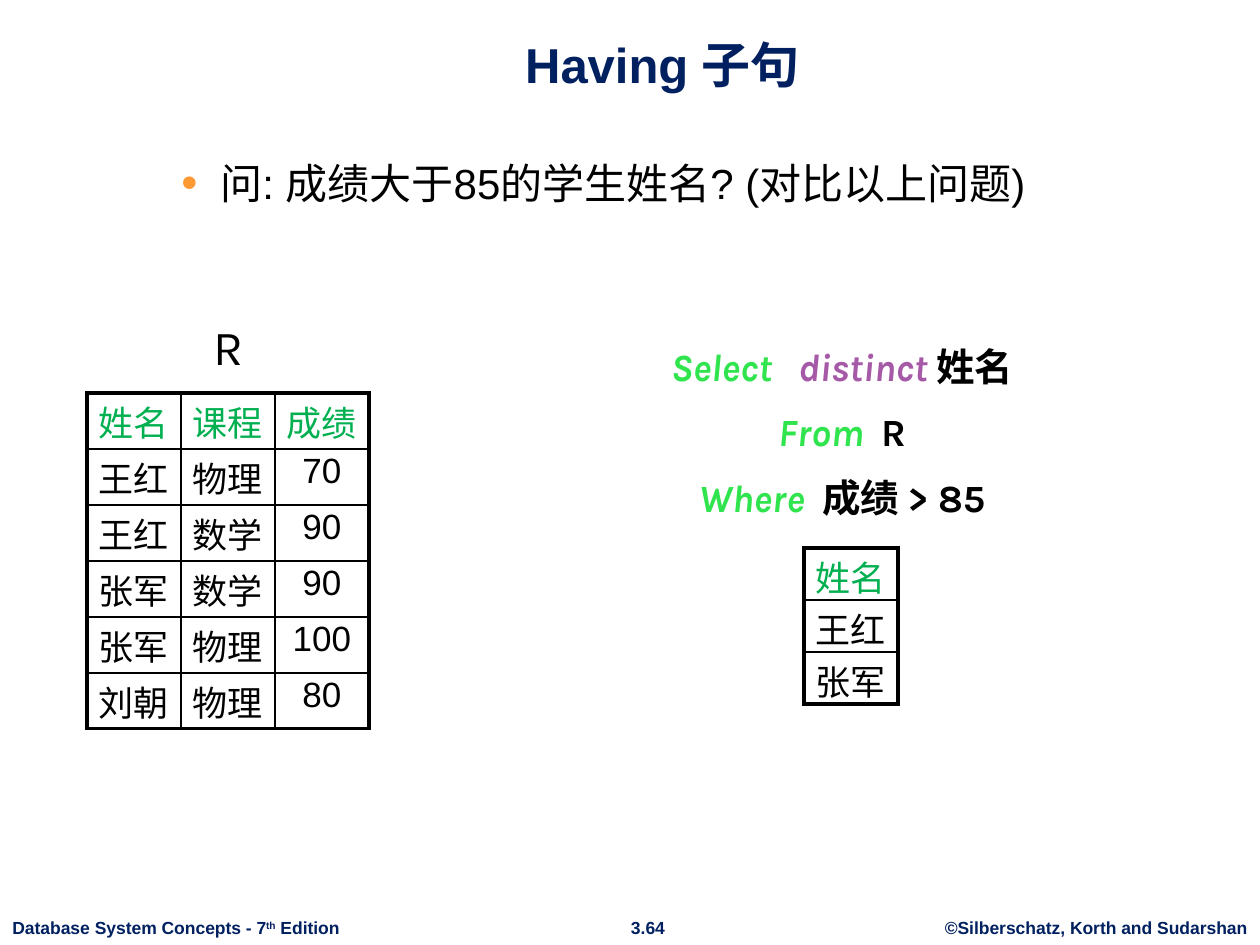
import pptx
import pptx.util
import pptx.dml.color
import pptx.enum.text
import pptx.oxml.ns
from dataclasses import dataclass
from lxml import etree


@dataclass(frozen=True)
class Theme:
    sans: str = "Arial"
    code: str = "Karla"
    navy: str = "002060"
    ink: str = "000000"
    paper: str = "FFFFFF"
    head: str = "00B050"
    key: str = "30E44E"
    word: str = "A559A7"
    dot: str = "FF9933"
    title: int = 28
    body: int = 24
    query: int = 22
    cell: int = 20
    foot: int = 10
    thick: float = 2.25
    thin: float = 1


LOOK = Theme()
Pt = pptx.util.Pt
ALIGN = pptx.enum.text.PP_ALIGN
ANCHOR = pptx.enum.text.MSO_ANCHOR
FIT = pptx.enum.text.MSO_AUTO_SIZE

TITLE = "Having 子句"
ASK = "问: 成绩大于85的学生姓名? (对比以上问题)"
NAME = "R"
QUERY = [
    [("Select", LOOK.key), ("   distinct ", LOOK.word), ("姓名", LOOK.ink)],
    [("From  ", LOOK.key), ("R", LOOK.ink)],
    [("Where  ", LOOK.key), ("成绩 > 85", LOOK.ink)],
]
MARKS = [
    ["姓名", "课程", "成绩"],
    ["王红", "物理", "70"],
    ["王红", "数学", "90"],
    ["张军", "数学", "90"],
    ["张军", "物理", "100"],
    ["刘朝", "物理", "80"],
]
FOUND = [["姓名"], ["王红"], ["张军"]]
FEET = [
    (0, 354, ALIGN.LEFT, [("Database System Concepts - 7", 0), ("th", 30), (" Edition", 0)]),
    (617, 62, ALIGN.CENTER, [("3.64", 0)]),
    (932, 328, ALIGN.CENTER, [("©Silberschatz, Korth and Sudarshan", 0)]),
]


def px(n):
    return pptx.util.Emu(round(n * 914400 / 126))


def paint(font, size, color, face=LOOK.sans, bold=False):
    font.name = face
    font.size = Pt(size)
    font.bold = bold
    font.color.rgb = pptx.dml.color.RGBColor.from_string(color)


def add_tag(up, tag, **attrs):
    return etree.SubElement(up, pptx.oxml.ns.qn(tag), attrs)


def add_box(slide, x, y, w, h, wrap=True):
    frame = slide.shapes.add_textbox(px(x), px(y), px(w), px(h)).text_frame
    frame.word_wrap = wrap
    return frame


def add_edge(cell, side, width):
    props = cell._tc.get_or_add_tcPr()
    line = add_tag(props, "a:" + side, w=str(Pt(width)))
    fill = add_tag(line, "a:solidFill")
    add_tag(fill, "a:srgbClr", val=LOOK.ink)


def add_grid(slide, rows, x, y, wide, high):
    last, end = len(rows) - 1, len(rows[0]) - 1
    frame = slide.shapes.add_table(
        last + 1, end + 1, px(x), px(y), px(wide * (end + 1)), px(high * (last + 1)))
    table = frame.table
    for col in table.columns:
        col.width = px(wide)
    for i, row in enumerate(rows):
        table.rows[i].height = px(high)
        for j, text in enumerate(row):
            cell = table.cell(i, j)
            cell.margin_left = cell.margin_right = px(5)
            cell.margin_top = cell.margin_bottom = px(3)
            outer = {"lnL": j == 0, "lnR": j == end, "lnT": i == 0, "lnB": i == last}
            for side, edge in outer.items():
                add_edge(cell, side, LOOK.thick if edge else LOOK.thin)
            if i == 0:
                cell.fill.solid()
                cell.fill.fore_color.rgb = pptx.dml.color.RGBColor.from_string(LOOK.paper)
            else:
                cell.fill.background()
            para = cell.text_frame.paragraphs[0]
            para.text = text
            para.alignment = ALIGN.CENTER
            paint(para.font, LOOK.cell, LOOK.ink if i else LOOK.head)


def add_title(slide):
    title = slide.shapes.title
    title.left, title.top, title.width, title.height = px(106), px(16), px(1113), px(84)
    frame = title.text_frame
    frame.text = TITLE
    frame.auto_size = FIT.NONE
    frame.vertical_anchor = ANCHOR.BOTTOM
    para = frame.paragraphs[0]
    para.alignment = ALIGN.CENTER
    paint(para.font, LOOK.title, LOOK.navy, bold=True)


def add_ask(slide):
    para = add_box(slide, 106, 151, 1062, 675).paragraphs[0]
    para.text = ASK
    props = para._p.get_or_add_pPr()
    props.set("marL", str(px(102)))
    props.set("indent", str(px(-39)))
    add_tag(add_tag(props, "a:buClr"), "a:srgbClr", val=LOOK.dot)
    add_tag(props, "a:buSzPct", val="110000")
    add_tag(props, "a:buFont", typeface=LOOK.sans)
    add_tag(props, "a:buChar", char="•")
    paint(para.font, LOOK.body, LOOK.ink)


def add_query(slide):
    frame = add_box(slide, 433, 330, 818, 202)
    for i, parts in enumerate(QUERY):
        para = frame.add_paragraph() if i else frame.paragraphs[0]
        para.alignment = ALIGN.CENTER
        para.line_spacing = 1.15
        if i:
            para.space_before = Pt(7)
        for text, color in parts:
            run = para.add_run()
            run.text = text
            paint(run.font, LOOK.query, color, LOOK.code, True)
            run.font.italic = color != LOOK.ink


def add_feet(slide):
    for x, w, align, parts in FEET:
        para = add_box(slide, x, 911, w, 34, False).paragraphs[0]
        para.alignment = align
        for text, lift in parts:
            run = para.add_run()
            run.text = text
            if lift:
                run._r.get_or_add_rPr().set("baseline", str(lift * 1000))
        paint(para.font, LOOK.foot, LOOK.navy, bold=True)


def main():
    deck = pptx.Presentation()
    deck.slide_width, deck.slide_height = px(1260), px(945)
    slide = deck.slides.add_slide(deck.slide_layouts[5])
    add_feet(slide)
    add_title(slide)
    add_ask(slide)
    add_grid(slide, MARKS, 87, 393, 94, 56)
    label = add_box(slide, 150, 310, 157, 72).paragraphs[0]
    label.text = NAME
    label.alignment = ALIGN.CENTER
    paint(label.font, LOOK.title, LOOK.ink, LOOK.code)
    add_query(slide)
    add_grid(slide, FOUND, 804, 548, 94, 52)
    deck.save("out.pptx")


if __name__ == "__main__":
    main()
